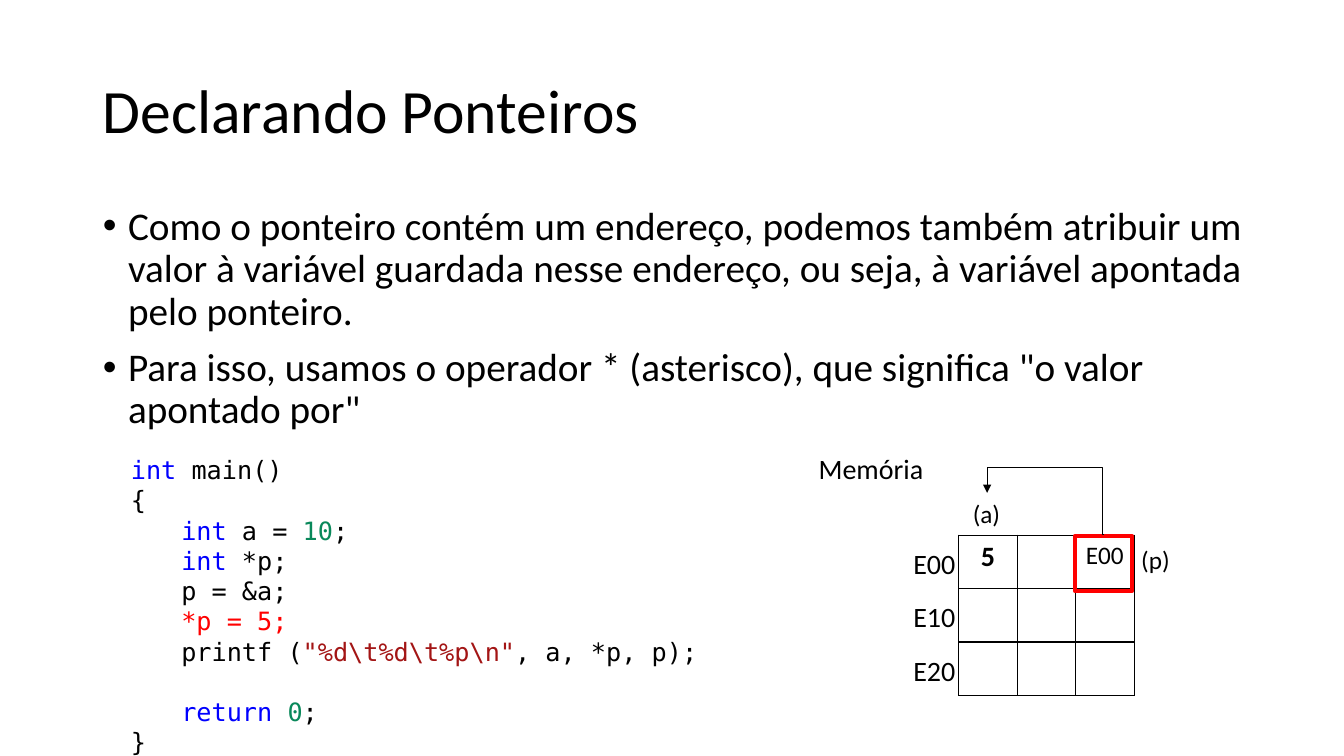
from lxml import etree
from pptx import Presentation
from pptx import util as u
from pptx.dml.color import RGBColor
from pptx.enum import shapes, text
from pptx.oxml import ns

BLACK = RGBColor(0x00, 0x00, 0x00)
RED = RGBColor(0xFF, 0x00, 0x00)
KEYWORD = RGBColor(0x00, 0x00, 0xFF)
NUMBER = RGBColor(0x09, 0x88, 0x5A)
STRING = RGBColor(0xA3, 0x15, 0x15)

BULLETS = [
    "Como o ponteiro contém um endereço, podemos também atribuir um valor à "
    "variável guardada nesse endereço, ou seja, à variável apontada pelo ponteiro.",
    'Para isso, usamos o operador * (asterisco), que signiﬁca "o valor apontado por"',
]

# Each line: indent level, points of space before, coloured spans
CODE = [
    (0, 0, [("int ", KEYWORD), ("main()", BLACK)]),
    (0, 0, [("{", BLACK)]),
    (1, 0, [("int", KEYWORD), (" a = ", BLACK), ("10", NUMBER), (";", BLACK)]),
    (1, 0, [("int", KEYWORD), (" *p;", BLACK)]),
    (1, 0, [("p = &a;", BLACK)]),
    (1, 0, [("*p = 5;", RED)]),
    (1, 0, [("printf (", BLACK), (r'"%d\t%d\t%p\n"', STRING), (", a, *p, p);", BLACK)]),
    (1, 21.6, [("return ", KEYWORD), ("0", NUMBER), (";", BLACK)]),
    (0, 0, [("}", BLACK)]),
]

MEMORY = [["5", "", "E00"], ["", "", ""], ["", "", ""]]
ADDRESSES = ["E00", "E10", "E20"]
CELL_WIDTH, CELL_HEIGHT = 58, 53


def px(length):
    """Turn pixels, 100 to the inch, into EMU."""
    return u.Emu(length * 9144)


def add_xml(parent, tag, **attributes):
    return etree.SubElement(parent, ns.qn(tag), **attributes)


def write(para, content, size=18, font="Calibri", color=BLACK, bold=False):
    span = para.add_run()
    span.text = content
    span.font.size = u.Pt(size)
    span.font.name = font
    span.font.bold = bold
    span.font.color.rgb = color


def paragraphs(frame, items):
    """Pair each item with its own paragraph of the frame."""
    for index, item in enumerate(items):
        yield frame.add_paragraph() if index else frame.paragraphs[0], item


class Slide:
    def __init__(self, deck):
        self.page = deck.slides.add_slide(deck.slide_layouts[1])

    def placeholder(self, index, left, top, width, height):
        box = self.page.placeholders[index]
        box.left, box.top, box.width, box.height = map(px, (left, top, width, height))
        box.text_frame.auto_size = text.MSO_AUTO_SIZE.NONE
        return box.text_frame

    def title(self, content, *place):
        frame = self.placeholder(0, *place)
        frame.vertical_anchor = text.MSO_ANCHOR.MIDDLE
        para = frame.paragraphs[0]
        para.alignment = text.PP_ALIGN.LEFT
        para.line_spacing = 0.9
        write(para, content, size=44)

    def bullets(self, items, *place):
        frame = self.placeholder(1, *place)
        frame.vertical_anchor = text.MSO_ANCHOR.TOP
        for para, item in paragraphs(frame, items):
            properties = para._p.get_or_add_pPr()
            properties.set("marL", str(px(25)))
            properties.set("indent", str(px(-25)))
            add_xml(properties, "a:buFont", typeface="Arial")
            add_xml(properties, "a:buChar", char="•")
            para.line_spacing = 0.9
            para.space_before = u.Pt(0 if item is items[0] else 10)
            write(para, item, size=28)

    def textbox(self, left, top, width, height, wrap):
        box = self.page.shapes.add_textbox(px(left), px(top), px(width), px(height))
        box.text_frame.word_wrap = wrap
        return box.text_frame

    def label(self, content, *place, size=20):
        frame = self.textbox(*place, wrap=False)
        write(frame.paragraphs[0], content, size=size)

    def code(self, lines, *place):
        frame = self.textbox(*place, wrap=True)
        for para, (level, before, spans) in paragraphs(frame, lines):
            para._p.get_or_add_pPr().set("marL", str(px(50 * level)))
            para.level = level
            para.space_before = u.Pt(before)
            for content, color in spans:
                write(para, content, font="DejaVu Sans Mono", color=color)

    def grid(self, values, left, top):
        rows, columns = len(values), len(values[0])
        frame = self.page.shapes.add_table(
            rows, columns, px(left), px(top),
            px(columns * CELL_WIDTH), px(rows * CELL_HEIGHT))
        table = frame.table
        table.first_row = table.horz_banding = False
        for column in table.columns:
            column.width = px(CELL_WIDTH)
        for row, contents in zip(table.rows, values):
            row.height = px(CELL_HEIGHT)
            for cell, content in zip(row.cells, contents):
                self.cell(cell, content)

    def cell(self, cell, content):
        properties = cell._tc.get_or_add_tcPr()
        for side in ("a:lnL", "a:lnR", "a:lnT", "a:lnB"):
            border = add_xml(properties, side, w=str(u.Pt(1)))
            fill = add_xml(border, "a:solidFill")
            add_xml(fill, "a:srgbClr", val=str(BLACK))
        cell.fill.background()
        para = cell.text_frame.paragraphs[0]
        if content == "5":
            para.alignment = text.PP_ALIGN.CENTER
            write(para, content, size=20, bold=True)
        elif content:
            write(para, content)

    def outline(self, left, top, width, height):
        frame = self.page.shapes.add_shape(
            shapes.MSO_SHAPE.RECTANGLE, px(left), px(top), px(width), px(height))
        frame.shadow.inherit = False
        frame.fill.background()
        frame.line.color.rgb = RED
        frame.line.width = u.Pt(3)

    def pointer_arrow(self, left, top, right, bottom):
        """Run from the bottom right, over the top, down to the top left."""
        arrow = self.page.shapes.add_connector(
            shapes.MSO_CONNECTOR.ELBOW, px(left), px(top), px(right), px(bottom))
        arrow.line.color.rgb = BLACK
        arrow.line.width = u.Pt(0.5)
        add_xml(arrow.line._get_or_add_ln(), "a:tailEnd", type="triangle")
        properties = arrow._element.spPr
        add_xml(properties, "a:effectLst")
        properties.find(ns.qn("a:xfrm")).set("rot", "10800000")
        geometry = properties.find(ns.qn("a:prstGeom"))
        geometry.set("prst", "bentConnector4")
        guides = geometry.find(ns.qn("a:avLst"))
        for name, value in (("adj1", 1200), ("adj2", 161900)):
            add_xml(guides, "a:gd", name=name, fmla=f"val {value}")


def main():
    deck = Presentation()
    deck.slide_width, deck.slide_height = px(1333), px(750)
    slide = Slide(deck)
    slide.title("Declarando Ponteiros", 92, 40, 1150, 145)
    slide.bullets(BULLETS, 92, 200, 1150, 476)
    slide.code(CODE, 120, 446, 667, 313)
    slide.grid(MEMORY, 951, 531)
    slide.label("Memória", 802, 443, 125, 44)
    for row, address in enumerate(ADDRESSES):
        slide.label(address, 896, 537 + row * CELL_HEIGHT, 62, 44)
    slide.outline(1066, 532, 57, 54)
    slide.label("(p)", 1122, 535, 49, 40, size=18)
    slide.label("(a)", 955, 489, 48, 40, size=18)
    slide.pointer_arrow(979, 489, 1095, 530)
    deck.save("out.pptx")


if __name__ == "__main__":
    main()
